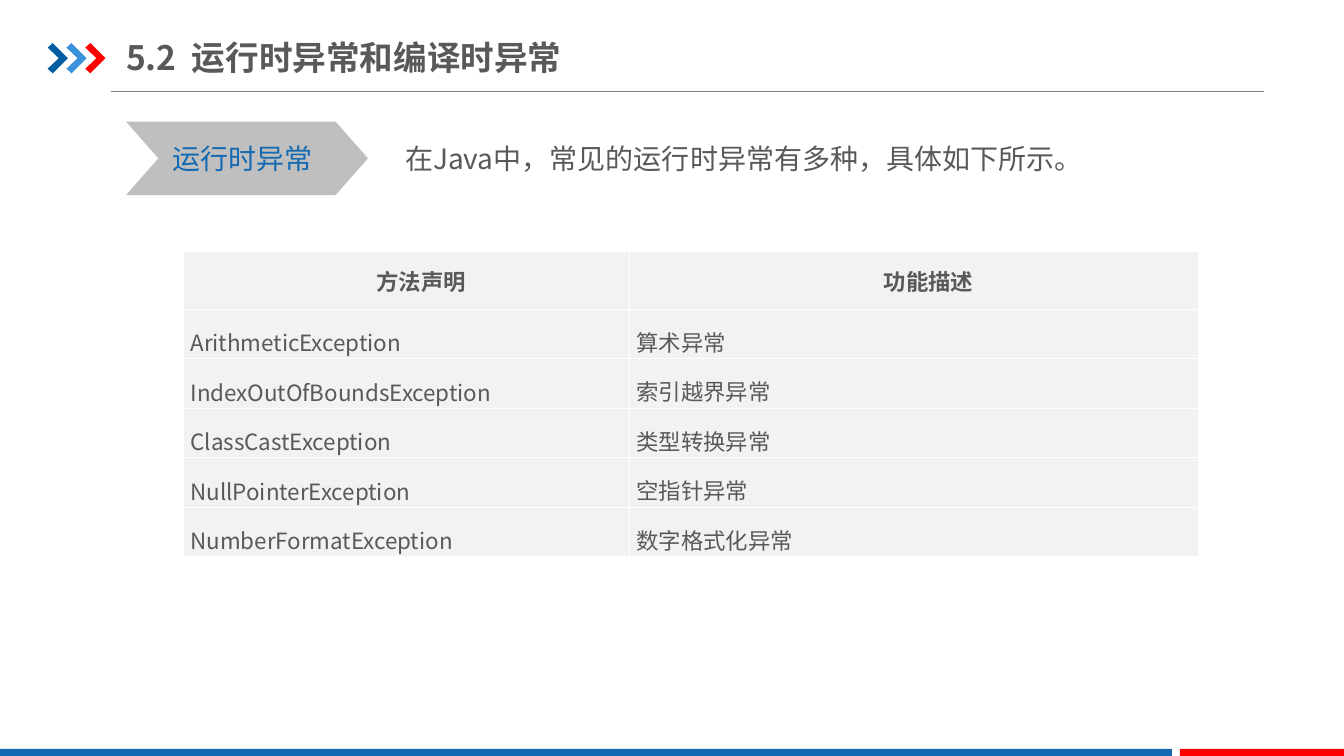
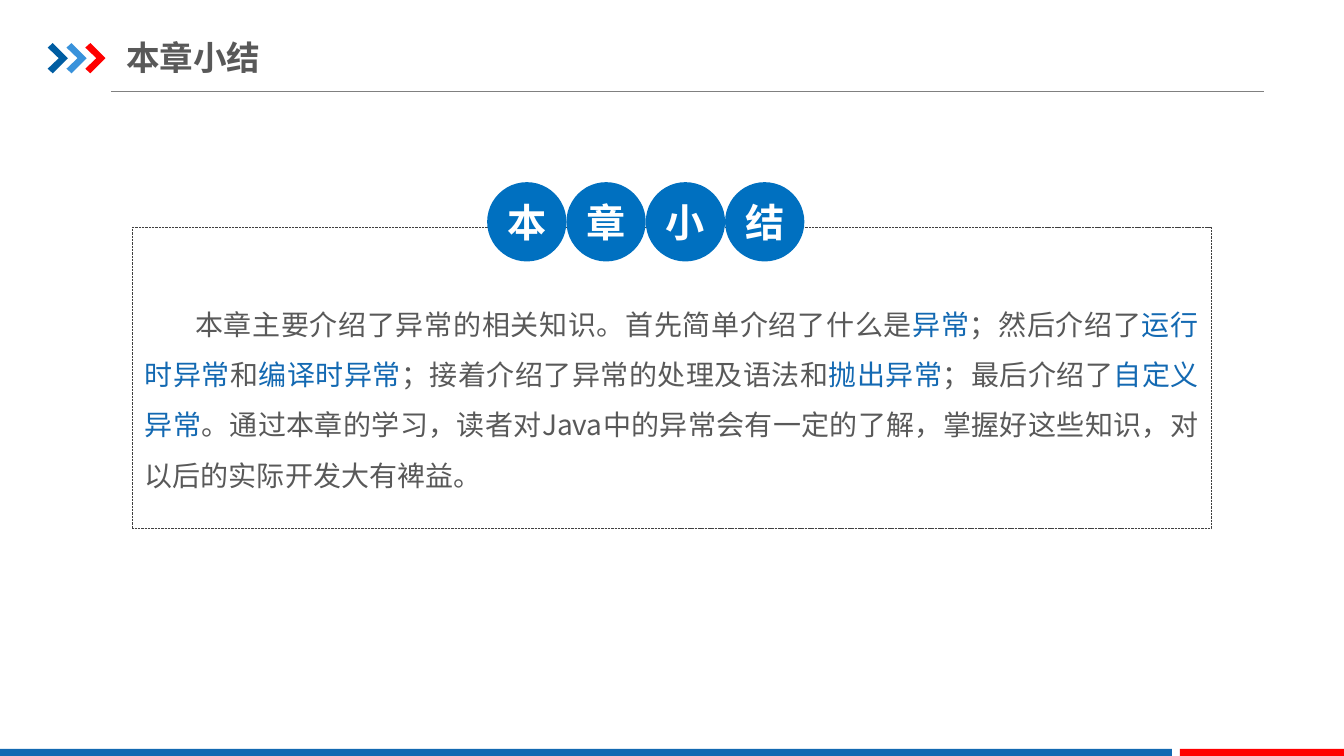
from lxml.etree import SubElement
from pptx import Presentation
from pptx.dml.color import RGBColor
from pptx.enum.dml import MSO_LINE_DASH_STYLE as Dash
from pptx.enum.shapes import MSO_CONNECTOR_TYPE as Connector, MSO_SHAPE as Shape
from pptx.enum.text import MSO_ANCHOR as Anchor, MSO_AUTO_SIZE as AutoSize, PP_ALIGN as Align
from pptx.oxml.ns import qn
from pptx.util import Inches, Pt

FONT = "Noto Sans CJK SC"
WIDTH, HEIGHT = Inches(13.333), Inches(7.5)
TITLE_ONLY = 5
COLORS = {
    "text": "595959", "white": "FFFFFF", "rule": "808080", "frame": "404040",
    "accent": "1369B2", "red": "FF0000", "navy": "005DA2", "sky": "3992DB",
    "circle": "0070C0", "arrow": "BFBFBF", "cell": "F2F2F2",
}
EXCEPTIONS = [
    ("ArithmeticException", "算术异常"),
    ("IndexOutOfBoundsException", "索引越界异常"),
    ("ClassCastException", "类型转换异常"),
    ("NullPointerException", "空指针异常"),
    ("NumberFormatException", "数字格式化异常"),
]
SUMMARY = [
    ("本章主要介绍了异常的相关知识。首先简单介绍了什么是", "text"),
    ("异常", "accent"),
    ("；然后介绍了", "text"),
    ("运行时异常", "accent"),
    ("和", "text"),
    ("编译时异常", "accent"),
    ("；接着介绍了异常的处理及语法和", "text"),
    ("抛出异常", "accent"),
    ("；最后介绍了", "text"),
    ("自定义异常", "accent"),
    ("。通过本章的学习，读者对Java中的异常会有一定的了解，"
     "掌握好这些知识，对以后的实际开发大有裨益。", "text"),
]


def across(percent):
    return round(WIDTH * percent / 100)


def down(percent):
    return round(HEIGHT * percent / 100)


def place(left, top, width, height):
    """Turn percentages of the slide into a position and size."""
    return across(left), down(top), across(width), down(height)


def color(name):
    return RGBColor.from_string(COLORS[name])


def write_text(frame, runs, size=20, ink="text", bold=False, align=Align.LEFT,
               spacing=1.0, indent=0, anchor=Anchor.TOP, margins=(0.1, 0.05, 0.1, 0.05)):
    """Fill a text frame with one paragraph: a string, or (text, colour) runs."""
    frame.word_wrap = True
    frame.auto_size = AutoSize.NONE
    frame.vertical_anchor = anchor
    (frame.margin_left, frame.margin_top,
     frame.margin_right, frame.margin_bottom) = map(Inches, margins)
    write_paragraph(frame.paragraphs[0], runs, size, ink, bold, align, spacing, indent)


def write_paragraph(paragraph, runs, size=20, ink="text", bold=False, align=Align.LEFT,
                    spacing=1.0, indent=0):
    paragraph.alignment = align
    paragraph.line_spacing = spacing
    if indent:
        properties = paragraph._p.get_or_add_pPr()
        properties.set("marL", "0")
        properties.set("indent", str(Inches(indent)))
    for text, run_ink in [(runs, ink)] if isinstance(runs, str) else runs:
        run = paragraph.add_run()
        run.text = text
        font = run.font
        font.size, font.bold, font.name = Pt(size), bold, FONT
        font.color.rgb = color(run_ink)
        SubElement(font._element, qn("a:ea")).set("typeface", FONT)


def paint(shape, fill=None):
    """Give a shape a plain fill, or none, without line and shadow."""
    shape.shadow.inherit = False
    shape.line.fill.background()
    if fill:
        shape.fill.solid()
        shape.fill.fore_color.rgb = color(fill)
    else:
        shape.fill.background()
    return shape


def add_block(slide, kind, box, fill=None):
    return paint(slide.shapes.add_shape(kind, *place(*box)), fill)


def add_rule(slide, left, right, top):
    rule = slide.shapes.add_connector(
        Connector.STRAIGHT, across(left), down(top), across(right), down(top))
    rule.line.color.rgb = color("rule")
    rule.line.width = Pt(0.75)
    SubElement(rule._element.spPr, qn("a:effectLst"))


def add_title_chevron(slide, left, fill):
    left, top, width, height = place(left, 5.7, 1.5, 4)
    outline = [(0, 0.15), (0.25, 0), (1, 0.5), (0.25, 1), (0, 0.85), (0.55, 0.5)]
    points = [(round(left + x * width), round(top + y * height)) for x, y in outline]
    builder = slide.shapes.build_freeform(*points[0])
    builder.add_line_segments(points[1:], close=True)
    paint(builder.convert_to_shape(), fill)


def add_titled_slide(presentation, title_text):
    """Add a slide with the title, header and footer bands that all slides share."""
    slide = presentation.slides.add_slide(presentation.slide_layouts[TITLE_ONLY])
    add_rule(slide, 8.25, 94.05, 12.1)
    for index, fill in enumerate(("navy", "sky", "red")):
        add_title_chevron(slide, 3.55 + 1.4 * index, fill)
    for left, width, fill in ((0, 87.2, "accent"), (87.8, 12.2, "red")):
        add_block(slide, Shape.RECTANGLE, (left, 99.05, width, 0.95), fill)
    title = slide.shapes.title
    title.left, title.top, title.width, title.height = place(9.38, 3.9, 46.5, 7.3)
    write_text(title.text_frame, title_text, size=24, bold=True,
               anchor=Anchor.MIDDLE, margins=(0, 0.07, 0, 0.07))
    return slide


def style_cell(cell):
    cell.fill.solid()
    cell.fill.fore_color.rgb = color("cell")
    cell.margin_left = cell.margin_right = Inches(0.07)
    cell.margin_top = cell.margin_bottom = 0
    properties = cell._tc.get_or_add_tcPr()
    for index, side in enumerate(("a:lnL", "a:lnR", "a:lnT", "a:lnB")):
        border = properties.makeelement(qn(side), {"w": str(Pt(1))})
        properties.insert(index, border)
        fill = SubElement(border, qn("a:solidFill"))
        SubElement(fill, qn("a:srgbClr")).set("val", COLORS["white"])


def add_exception_table(slide, header, rows):
    widths, header_height, row_height = (33.2, 42.3), 7.6, 6.55
    box = place(13.65, 33.3, sum(widths), header_height + row_height * len(rows))
    table = slide.shapes.add_table(len(rows) + 1, len(widths), *box).table
    table.first_row = table.horz_banding = False
    for column, width in zip(table.columns, widths):
        column.width = across(width)
    for row_index, texts in enumerate([header, *rows]):
        is_header = row_index == 0
        table.rows[row_index].height = down(header_height if is_header else row_height)
        layout = (dict(bold=True, align=Align.CENTER, indent=0.29) if is_header
                  else dict(spacing=1.5))
        for column_index, text in enumerate(texts):
            cell = table.cell(row_index, column_index)
            style_cell(cell)
            centred = is_header or column_index == 0
            cell.vertical_anchor = Anchor.MIDDLE if centred else Anchor.TOP
            write_paragraph(cell.text_frame.paragraphs[0], text, size=16, **layout)


def add_runtime_slide(presentation):
    slide = add_titled_slide(presentation, "5.2  运行时异常和编译时异常")
    label = add_block(slide, Shape.CHEVRON, (9.38, 16.1, 18, 9.7), "arrow")
    label.adjustments[0] = 0.44
    write_text(label.text_frame, "运行时异常", ink="accent", align=Align.CENTER,
               anchor=Anchor.MIDDLE, margins=(0, 0, 0.08, 0))
    intro = slide.shapes.add_textbox(*place(29.4, 15.9, 61.5, 8))
    write_text(intro.text_frame, "在Java中，常见的运行时异常有多种，具体如下所示。", spacing=1.5)
    add_exception_table(slide, ("方法声明", "功能描述"), EXCEPTIONS)


def add_summary_slide(presentation):
    heading = "本章小结"
    slide = add_titled_slide(presentation, heading)
    frame = add_block(slide, Shape.RECTANGLE, (9.8, 30, 80.35, 39.9))
    frame.line.color.rgb = color("frame")
    frame.line.width = Pt(0.25)
    frame.line.dash_style = Dash.SQUARE_DOT
    write_text(frame.text_frame, SUMMARY, align=Align.JUSTIFY, spacing=1.5, indent=0.5,
               margins=(0.13, 0.63, 0.13, 0.07))
    diameter = 5.9
    for index, character in enumerate(heading):
        box = (36.25 + diameter * index, 24.1, diameter, diameter * WIDTH / HEIGHT)
        circle = add_block(slide, Shape.OVAL, box, "circle")
        write_text(circle.text_frame, character, size=28, ink="white", bold=True,
                   align=Align.CENTER, anchor=Anchor.MIDDLE, margins=(0, 0, 0, 0))


def main():
    presentation = Presentation()
    presentation.slide_width, presentation.slide_height = WIDTH, HEIGHT
    add_runtime_slide(presentation)
    add_summary_slide(presentation)
    presentation.save("out.pptx")


if __name__ == "__main__":
    main()
